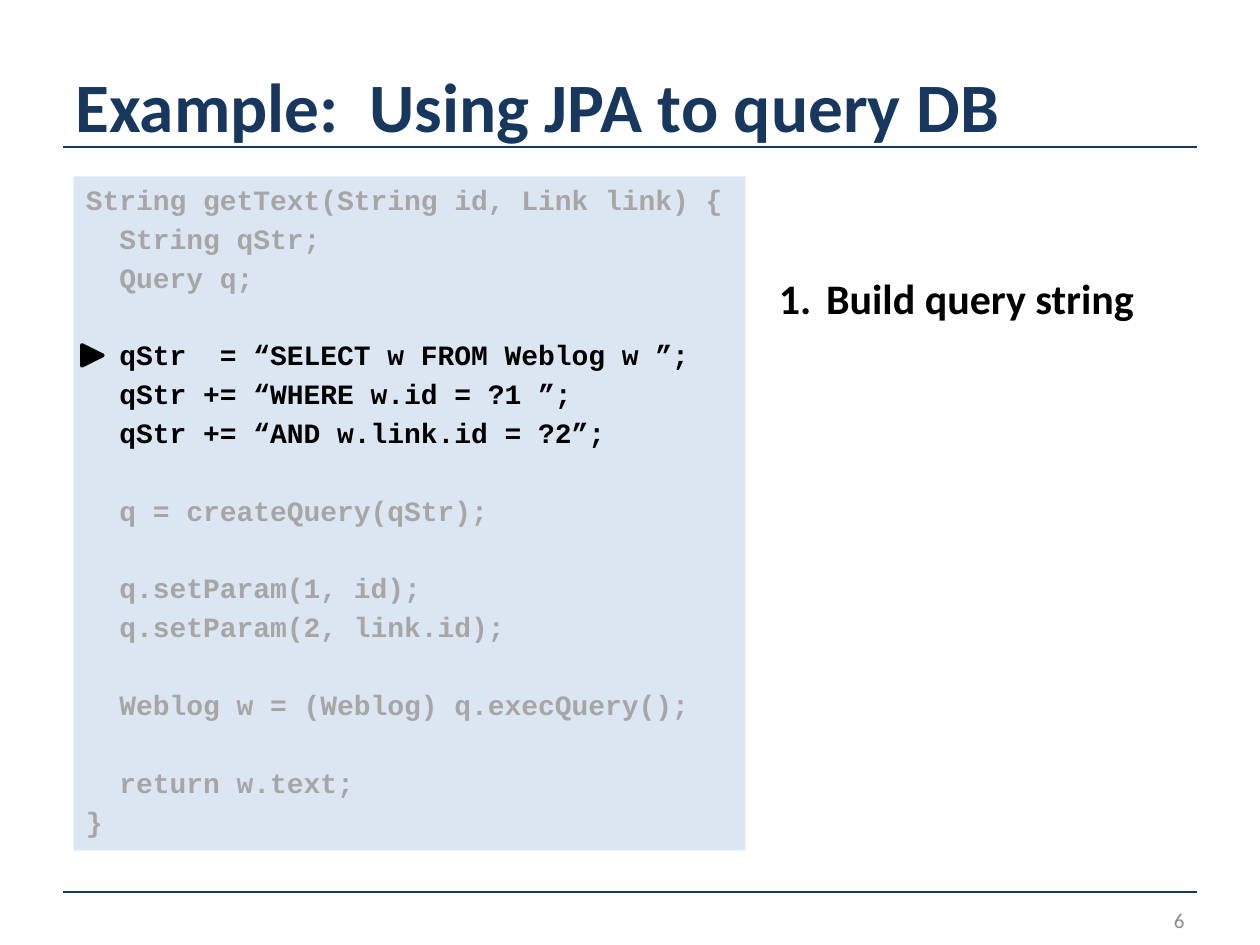
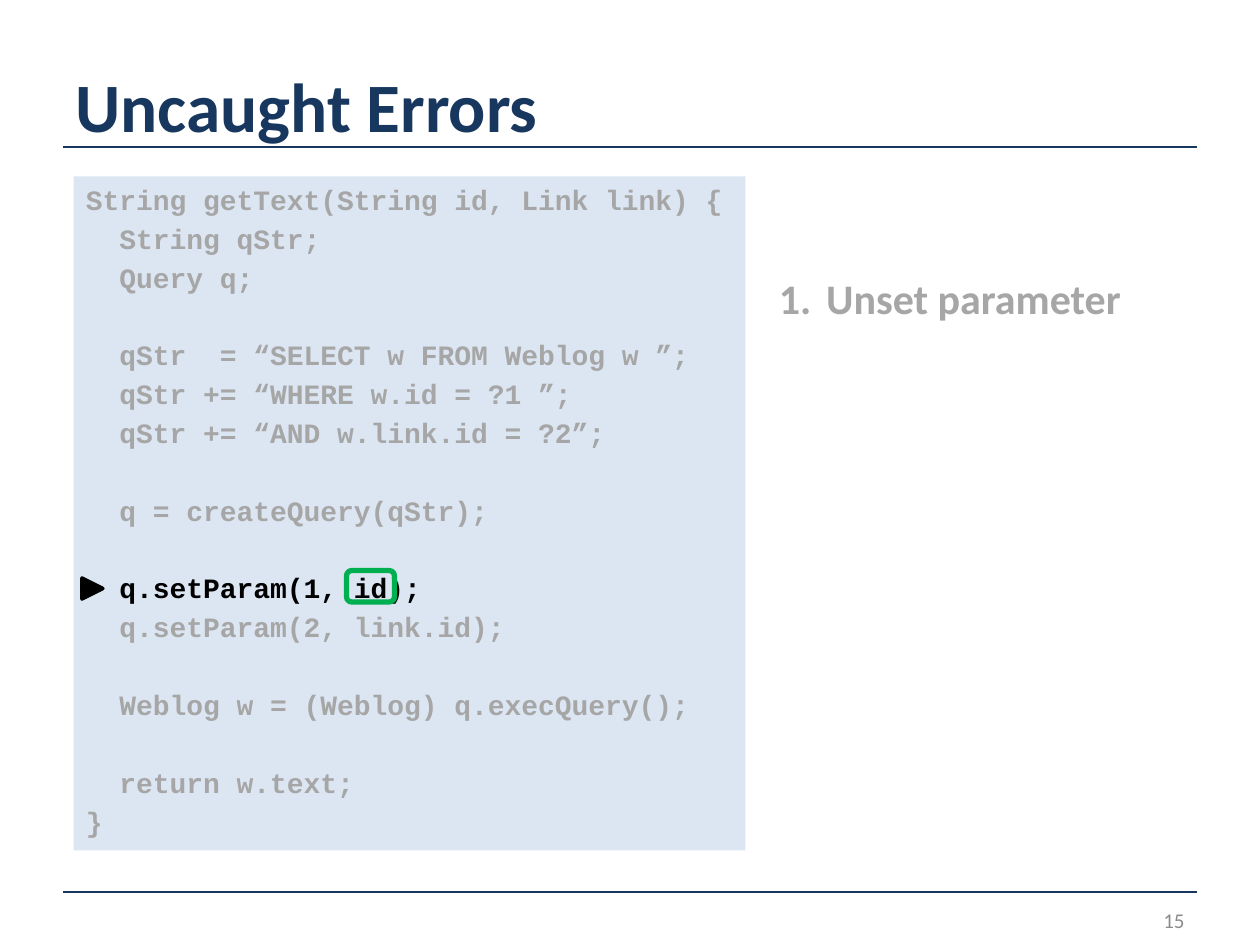
from lxml.etree import SubElement
from pptx import Presentation
from pptx.dml.color import RGBColor
from pptx.enum.shapes import MSO_CONNECTOR, MSO_SHAPE
from pptx.enum.text import MSO_ANCHOR, PP_ALIGN
from pptx.oxml.ns import qn
from pptx.util import Pt

NAVY = RGBColor(0x17, 0x37, 0x5E)
PALE_BLUE = RGBColor(0xDC, 0xE6, 0xF2)
FADED = RGBColor(0xA6, 0xA6, 0xA6)
BLACK = RGBColor(0, 0, 0)
GREEN = RGBColor(0x00, 0xB0, 0x50)
FOOTER_GRAY = RGBColor(0x8C, 0x8C, 0x8C)

BODY_FONT = "Calibri"
CODE_FONT = "Courier New"

LEFT, RIGHT = 36, 684
CODE_TOP = 100.8
LINE_PITCH = 22.2
LINE_GAP = 3

CODE = """String getText(String id, Link link) {
  String qStr;
  Query q;

  qStr  = “SELECT w FROM Weblog w ”;
  qStr += “WHERE w.id = ?1 ”;
  qStr += “AND w.link.id = ?2”;

  q = createQuery(qStr);

  q.setParam(1, id);
  q.setParam(2, link.id);

  Weblog w = (Weblog) q.execQuery();

  return w.text;
}""".split("\n")


def set_font(para, name, size, color, bold=True):
    para.font.name = name
    para.font.size = Pt(size)
    para.font.color.rgb = color
    para.font.bold = bold


def add_text(page, text, left, top, width, height, anchor=MSO_ANCHOR.TOP):
    box = page.shapes.add_textbox(Pt(left), Pt(top), Pt(width), Pt(height))
    box.text_frame.word_wrap = True
    box.text_frame.vertical_anchor = anchor
    para = box.text_frame.paragraphs[0]
    para.text = text
    return para


def add_rule(page, y):
    rule = page.shapes.add_connector(
        MSO_CONNECTOR.STRAIGHT, Pt(LEFT), Pt(y), Pt(RIGHT), Pt(y))
    rule.line.color.rgb = NAVY
    rule.line.width = Pt(1)
    SubElement(rule._element.spPr, qn("a:effectLst"))


def add_shape(page, kind, left, top, width, height, fill=None, line=None, weight=0):
    shape = page.shapes.add_shape(kind, Pt(left), Pt(top), Pt(width), Pt(height))
    shape.shadow.inherit = False
    if fill is None:
        shape.fill.background()
    else:
        shape.fill.solid()
        shape.fill.fore_color.rgb = fill
    if line is None:
        shape.line.fill.background()
    else:
        shape.line.color.rgb = line
        shape.line.width = Pt(weight)
    return shape


def add_code(page, active_lines):
    panel = add_shape(page, MSO_SHAPE.RECTANGLE, 42, CODE_TOP, 384, 385.2, PALE_BLUE)
    frame = panel.text_frame
    frame.word_wrap = True
    frame.vertical_anchor = MSO_ANCHOR.TOP
    gap = 0
    for number, text in enumerate(CODE):
        if not text:
            gap += LINE_PITCH
            continue
        para = frame.add_paragraph() if number else frame.paragraphs[0]
        para.text = text
        para.alignment = PP_ALIGN.LEFT
        para.space_before = Pt(gap)
        set_font(para, CODE_FONT, 16, BLACK if number in active_lines else FADED)
        gap = LINE_GAP
    marker_top = CODE_TOP + 7.5 + LINE_PITCH * active_lines[0]
    marker = add_shape(page, MSO_SHAPE.ISOSCELES_TRIANGLE, 46.8, marker_top, 12, 12,
                       BLACK, BLACK, 2)
    marker.rotation = 90


def add_numbered_note(page, text, color):
    para = add_text(page, text, 438, 152, 246, 36)
    properties = para._p.get_or_add_pPr()
    properties.set("marL", str(Pt(27)))
    properties.set("indent", str(-Pt(27)))
    SubElement(properties, qn("a:buFont"), typeface="+mj-lt")
    SubElement(properties, qn("a:buAutoNum"), type="arabicPeriod")
    para.space_after = Pt(12)
    set_font(para, BODY_FONT, 24, color)


def add_page(deck, title, number):
    page = deck.slides.add_slide(deck.slide_layouts[6])
    add_rule(page, 84)
    add_rule(page, 509.8)
    heading = add_text(page, title, LEFT, 36, RIGHT - LEFT, 48.2, MSO_ANCHOR.MIDDLE)
    set_font(heading, BODY_FONT, 39.6, NAVY)
    footer = add_text(page, str(number), 516, 511.2, 168, 28.8, MSO_ANCHOR.MIDDLE)
    footer.alignment = PP_ALIGN.RIGHT
    set_font(footer, BODY_FONT, 12, FOOTER_GRAY, False)
    return page


def main():
    deck = Presentation()
    deck.slide_width, deck.slide_height = Pt(720), Pt(540)

    page = add_page(deck, "Example:  Using JPA to query DB", 6)
    add_code(page, [4, 5, 6])
    add_numbered_note(page, "Build query string", BLACK)

    page = add_page(deck, "Uncaught Errors", 15)
    add_code(page, [10])
    add_shape(page, MSO_SHAPE.ROUNDED_RECTANGLE, 198, 326, 27.4, 18, line=GREEN, weight=3)
    add_numbered_note(page, "Unset parameter", FADED)

    deck.save("out.pptx")


if __name__ == "__main__":
    main()
